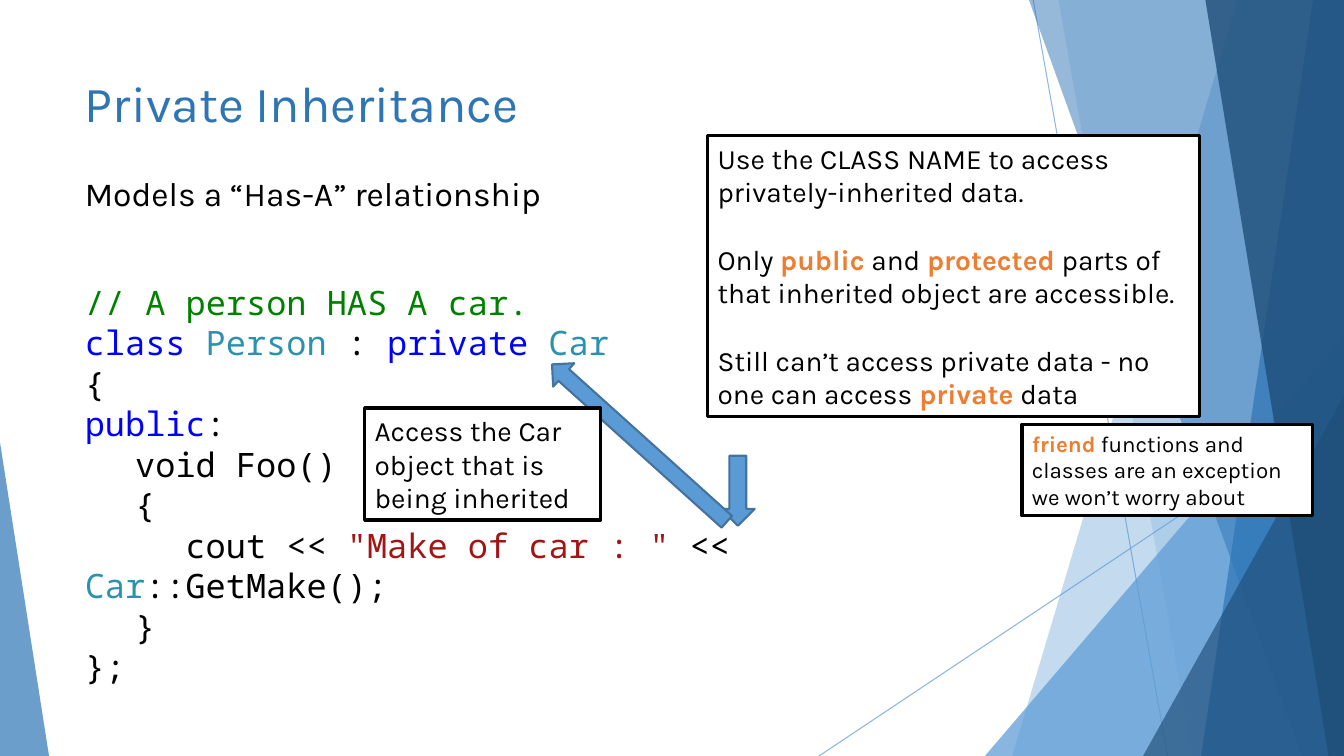
import pptx
import pptx.dml.color
import pptx.enum.shapes
import pptx.enum.text
import pptx.oxml
import pptx.oxml.ns
import pptx.util
import lxml.etree

Pt = pptx.util.Pt
SHAPES = pptx.enum.shapes.MSO_SHAPE
ANCHORS = pptx.enum.text.MSO_ANCHOR
WIDTH, HEIGHT = 960, 540
BLACK, WHITE, ORANGE = "000000", "FFFFFF", "ED7D31"
LIGHT, MEDIUM, DARK, OUTLINE = "5B9BD5", "2E75B6", "1F4E79", "43739E"
COMMENT, KEYWORD, TYPE, STRING = "008000", "0000FF", "2B91AF", "A31515"


def colour(value):
    return pptx.dml.color.RGBColor.from_string(value)


def add_child(parent, tag, **attributes):
    child = lxml.etree.SubElement(parent, pptx.oxml.ns.qn(tag))
    for name, value in attributes.items():
        child.set(name, str(int(value)) if name != "algn" else value)
    return child


class SlideBuilder:
    text_font = "Karla"
    code_font = "Noto Sans Mono"
    tab_step = 36

    def __init__(self, presentation):
        self.slide = presentation.slides.add_slide(presentation.slide_layouts[5])
        self.shapes = self.slide.shapes

    def paint(self, fill, value, opacity=100):
        fill.solid()
        fill.fore_color.rgb = colour(value)
        if opacity < 100:
            tag = pptx.oxml.ns.qn("a:srgbClr")
            colour_element = next(fill._xPr.iter(tag))
            add_child(colour_element, "a:alpha", val=opacity * 1000)

    def finish(self, shape, fill, opacity=100, line=None, line_width=0):
        shape.shadow.inherit = False
        self.paint(shape.fill, fill, opacity)
        if line:
            shape.line.color.rgb = colour(line)
            shape.line.width = Pt(line_width)
        else:
            shape.line.fill.background()

    def line(self, start, end):
        connector = self.shapes.add_connector(
            pptx.enum.shapes.MSO_CONNECTOR.STRAIGHT, *map(Pt, start + end))
        connector.line.width = Pt(0.75)
        self.paint(connector.line.fill, LIGHT, 70)
        add_child(connector._element.spPr, "a:effectLst")

    def facet(self, top, bottom, fill, opacity):
        builder = self.shapes.build_freeform(Pt(top), 0)
        corners = [(WIDTH, 0), (WIDTH, HEIGHT), (bottom, HEIGHT)]
        builder.add_line_segments([(Pt(x), Pt(y)) for x, y in corners], close=True)
        self.finish(builder.convert_to_shape(), fill, opacity)

    def triangle(self, box, apex, fill, opacity):
        shape = self.shapes.add_shape(SHAPES.ISOSCELES_TRIANGLE, *map(Pt, box))
        shape.adjustments[0] = apex
        self.finish(shape, fill, opacity)

    def arrow(self, box, rotation):
        shape = self.shapes.add_shape(SHAPES.UP_ARROW, *map(Pt, box))
        shape.rotation = rotation
        self.finish(shape, LIGHT, line=OUTLINE, line_width=1.5)

    def fill_text(self, shape, paragraphs, size, anchor=ANCHORS.TOP, gap=0, code=False):
        frame = shape.text_frame
        frame.word_wrap = True
        frame.auto_size = pptx.enum.text.MSO_AUTO_SIZE.NONE
        frame.vertical_anchor = anchor
        for index, runs in enumerate(paragraphs):
            paragraph = frame.add_paragraph() if index else frame.paragraphs[0]
            if code:
                tabs = add_child(paragraph._p.get_or_add_pPr(), "a:tabLst")
                for stop in (1, 2):
                    add_child(tabs, "a:tab", pos=Pt(stop * self.tab_step), algn="l")
                paragraph.line_spacing = Pt(28.9)
            paragraph.alignment = pptx.enum.text.PP_ALIGN.LEFT
            if index and gap:
                paragraph.space_before = Pt(gap)
            for text, value in runs:
                run = paragraph.add_run()
                run.text = text
                run.font.name = self.code_font if code else self.text_font
                run.font.size = Pt(size)
                run.font.bold = value == ORANGE
                run.font.color.rgb = colour(value)

    def title(self, box, text):
        shape = self.shapes.title
        shape.left, shape.top, shape.width, shape.height = map(Pt, box)
        self.fill_text(shape, [[(text, MEDIUM)]], 36)
        self.shapes._spTree.append(shape._element)

    def text(self, box, paragraphs, size, code=False):
        self.fill_text(self.shapes.add_textbox(*map(Pt, box)), paragraphs, size, code=code)

    def callout(self, box, paragraphs, size, gap=0):
        shape = self.shapes.add_shape(SHAPES.RECTANGLE, *map(Pt, box))
        self.finish(shape, WHITE, line=BLACK, line_width=2.25)
        self.fill_text(shape, paragraphs, size, ANCHORS.MIDDLE, gap)


def main():
    presentation = pptx.Presentation()
    presentation.slide_width, presentation.slide_height = Pt(WIDTH), Pt(HEIGHT)
    builder = SlideBuilder(presentation)

    builder.line((738, 0), (834, HEIGHT))
    builder.line((WIDTH, 290), (585, HEIGHT))
    builder.facet(884, 723, LIGHT, 36)
    builder.facet(756, 852, LIGHT, 20)
    builder.triangle((703.5, 240, 256.5, 300), 1, LIGHT, 72)
    builder.facet(735, 930, MEDIUM, 50)
    builder.facet(938, 858, MEDIUM, 70)
    builder.facet(861, 949, DARK, 80)
    builder.triangle((816.5, 283, 143.5, 257), 1, DARK, 66)
    builder.triangle((0, 316, 35, 224), 0, MEDIUM, 70)

    builder.title((53.5, 48, 677, 104), "Private Inheritance")
    builder.text((53.5, 197.5, 657, 269), [
        [("// A person HAS A car.", COMMENT)],
        [("class ", KEYWORD), ("Person ", TYPE), (": ", BLACK),
         ("private ", KEYWORD), ("Car", TYPE)],
        [("{", BLACK)],
        [("public", KEYWORD), (":", BLACK)],
        [("\tvoid Foo()", BLACK)],
        [("\t{", BLACK)],
        [("\t\tcout << ", BLACK), ("\"Make of car : \" ", STRING), ("<< ", BLACK),
         ("Car", TYPE), ("::GetMake();", BLACK)],
        [("\t}", BLACK)],
        [("};", BLACK)],
    ], 24, code=True)

    builder.arrow((515, 325.5, 24, 50), 180)
    builder.callout((505.5, 96.5, 351.5, 201), [
        [("Use the CLASS NAME to access privately-inherited data.", BLACK)],
        [("Only ", BLACK), ("public", ORANGE), (" and ", BLACK), ("protected", ORANGE),
         (" parts of that inherited object are accessible.", BLACK)],
        [("Still can’t access private data - no one can access ", BLACK),
         ("private", ORANGE), (" data", BLACK)],
    ], 20, gap=24)
    builder.arrow((445.5, 232.5, 22.5, 168), 312)
    builder.callout((260.5, 291.5, 168.5, 80), [
        [("Access the Car object that is being inherited", BLACK)],
    ], 20)
    builder.text((53.5, 120, 363, 36), [[("Models a “Has-A” relationship", BLACK)]], 24)
    builder.callout((730, 303, 207.5, 65.5), [
        [("friend", ORANGE),
         (" functions and classes are an exception we won’t worry about", BLACK)],
    ], 16)

    presentation.save("out.pptx")


if __name__ == "__main__":
    main()
